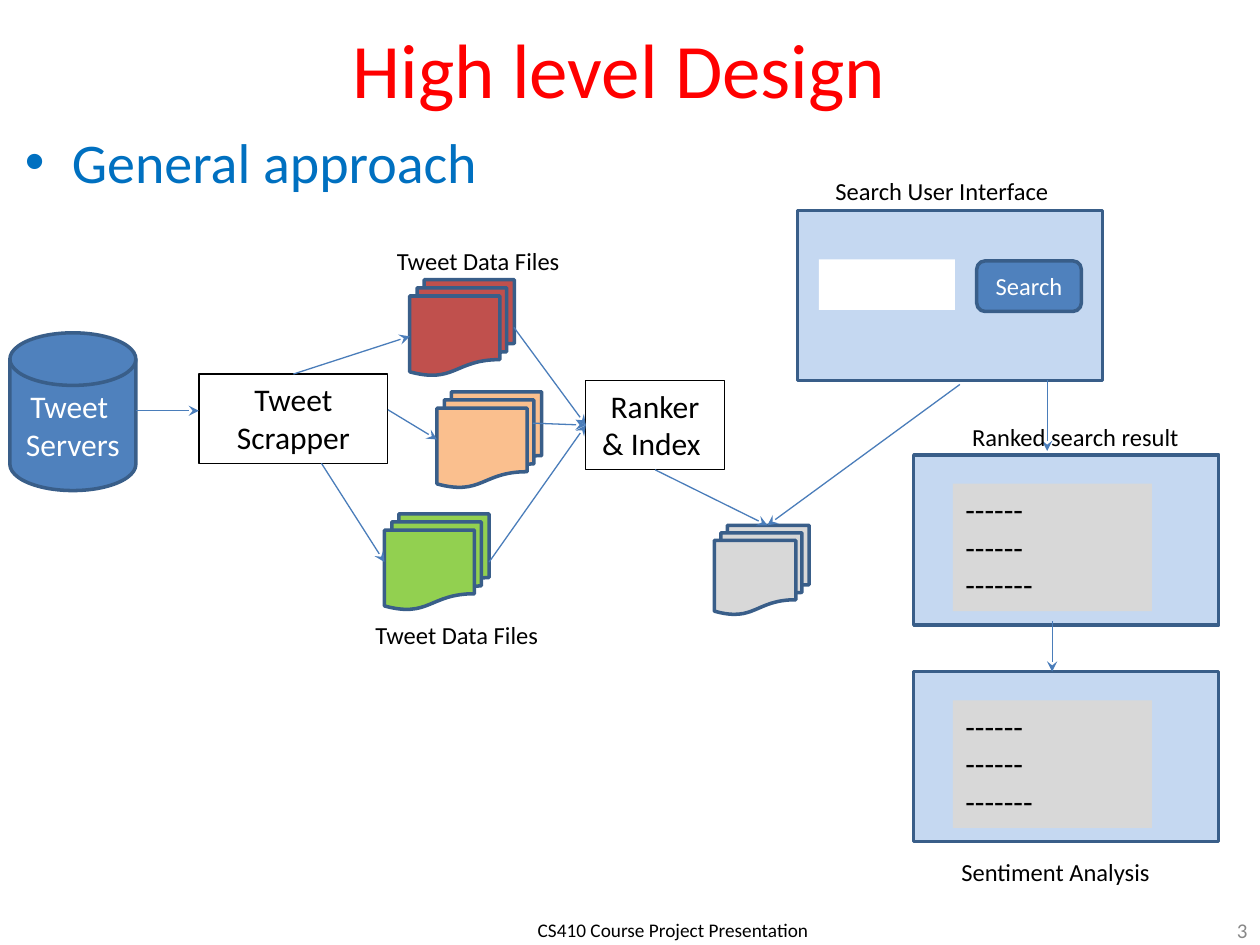
"""Build the High level Design slide: tweet pipeline from servers to sentiment analysis."""
from lxml.etree import SubElement
from pptx import Presentation
from pptx.dml.color import RGBColor
from pptx.enum.shapes import MSO_CONNECTOR as Link, MSO_SHAPE as Kind
from pptx.enum.text import MSO_ANCHOR as Anchor, PP_ALIGN as Align
from pptx.oxml.ns import qn
from pptx.util import Cm, Pt

BLACK, WHITE, BLUE, EDGE = "000000", "FFFFFF", "4F81BD", "395E89"
SKY, GREY, WIRE, HEAD = "C5D8F1", "D8D8D8", "4A7DBA", "0070C0"
TOP, LEFT, BOTTOM = 0, 1, 2
MID, CENTER = Anchor.MIDDLE, Align.CENTER

TEXTS = [
    ("CS410 Course Project Presentation", (10.59, 18.39, 6.22, 0.71), 11, BLACK, Align.LEFT, Anchor.TOP),
    ("High level Design", (0, 0, 24.97, 2.74), 44, "FF0000", CENTER, MID),
    ("3", (19.48, 18.24, 5.92, 1.02), 12, "888888", Align.RIGHT, MID),
]
POINT = ("General approach", (0.25, 2.44, 24.13, 2.34), 32, HEAD, Align.LEFT, Anchor.TOP)
LABELS = [
    ("Tweet Data Files", 7.09, 12.37, 4.24),
    ("Tweet Data Files", 7.52, 4.83, 4.24),
    ("Search User Interface", 16.13, 3.43, 5.72),
    ("Sentiment Analysis", 18.42, 17.15, 5.72),
    ("Ranked search result", 18.82, 8.38, 5.72),
]
STEPS = {
    "scrapper": ("Tweet Scrapper", (4.01, 7.54, 3.81, 1.8)),
    "ranker": ("Ranker & Index ", (11.81, 7.67, 2.79, 1.8)),
}
FILES = [
    ("C0504D", (8.26, 5.64, 2.11, 1.93)),
    ("FABF8E", (8.81, 7.9, 2.11, 1.93)),
    ("92D050", (7.75, 10.36, 2.11, 1.93)),
    (GREY, (14.4, 10.59, 1.91, 1.8)),
]
PANEL = (6.15, 3.43)
SEARCH = (16.08, 4.24)
LISTS = [(18.42, 9.17), (18.42, 13.54)]
ROWS = "------\n------\n-------"
ARROWS = [
    ((2.74, 8.28), (4.01, 8.28), None, None),
    ((5.92, 7.54), (8.26, 6.78), ("scrapper", TOP), None),
    ((6.48, 9.34), (7.75, 11.33), None, None),
    ((7.82, 8.26), (8.81, 8.86), None, None),
    ((10.36, 6.6), (11.81, 8.57), None, ("ranker", LEFT)),
    ((9.86, 11.33), (11.81, 8.57), None, ("ranker", LEFT)),
    ((10.74, 8.53), (11.81, 8.57), None, ("ranker", LEFT)),
    ((13.21, 9.47), (15.47, 10.59), ("ranker", BOTTOM), None),
    ((19.35, 7.75), (15.47, 10.59), None, None),
    ((21.11, 7.67), (21.11, 9.09), None, None),
    ((21.21, 12.52), (21.21, 13.54), None, None),
]


def color(code):
    return RGBColor.from_string(code)


def write(shape, text, size, ink, align=CENTER, anchor=Anchor.TOP):
    frame = shape.text_frame
    frame.word_wrap = True
    frame.vertical_anchor = anchor
    frame.text = text
    for para in frame.paragraphs:
        para.alignment = align
        para.font.size = Pt(size)
        para.font.name = "Calibri"
        para.font.color.rgb = color(ink)
    return shape


def label(slide, text, box, *style):
    return write(slide.shapes.add_textbox(*map(Cm, box)), text, *style)


def draw(slide, kind, box, fill=None, line=None, width=2):
    shape = slide.shapes.add_shape(kind, *map(Cm, box))
    shape.shadow.inherit = False
    if fill:
        shape.fill.solid()
        shape.fill.fore_color.rgb = color(fill)
    else:
        shape.fill.background()
    if line:
        shape.line.color.rgb = color(line)
        shape.line.width = Pt(width)
    else:
        shape.line.fill.background()
    return shape


def bullet(para, ink):
    props = para._p.get_or_add_pPr()
    props.set("marL", str(Cm(0.95)))
    props.set("indent", str(-Cm(0.95)))
    tint = props.makeelement(qn("a:buClr"))
    SubElement(tint, qn("a:srgbClr"), val=ink)
    face = props.makeelement(qn("a:buFont"), typeface="Arial")
    mark = props.makeelement(qn("a:buChar"), char="•")
    for spot, node in enumerate((tint, face, mark)):
        props.insert(spot, node)


def arrow(slide, start, end, tail, tip, steps):
    line = slide.shapes.add_connector(Link.STRAIGHT, *map(Cm, start + end))
    if tail:
        line.begin_connect(steps[tail[0]], tail[1])
    if tip:
        line.end_connect(steps[tip[0]], tip[1])
    line.line.color.rgb = color(WIRE)
    line.line.width = Pt(0.75)
    SubElement(line.line._get_or_add_ln(), qn("a:tailEnd"), type="stealth")
    SubElement(line._element.spPr, qn("a:effectLst"))


def main():
    deck = Presentation()
    deck.slide_width, deck.slide_height = Cm(25.4), Cm(19.05)
    slide = deck.slides.add_slide(deck.slide_layouts[6])

    for item in TEXTS:
        label(slide, *item)
    bullet(label(slide, *POINT).text_frame.paragraphs[0], HEAD)

    steps = {}
    for name, (text, box) in STEPS.items():
        steps[name] = write(draw(slide, Kind.RECTANGLE, box, None, BLACK, 0.75), text, 18, BLACK)
    disk = draw(slide, Kind.FLOWCHART_MAGNETIC_DISK, (0.2, 6.71, 2.54, 3.18), BLUE, EDGE)
    write(disk, "Tweet \nServers", 18, WHITE, CENTER, MID)
    for fill, box in FILES:
        draw(slide, Kind.FLOWCHART_MULTIDOCUMENT, box, fill, EDGE)

    for spot in [SEARCH] + LISTS:
        draw(slide, Kind.RECTANGLE, spot + PANEL, SKY, EDGE)
    draw(slide, Kind.RECTANGLE, (16.51, 5.23, 2.74, 1.02), WHITE)
    button = draw(slide, Kind.ROUNDED_RECTANGLE, (19.69, 5.26, 2.11, 1.02), BLUE, EDGE)
    write(button, "Search", 14, WHITE, CENTER, MID)
    for left, top in LISTS:
        sheet = draw(slide, Kind.RECTANGLE, (left + 0.79, top + 0.58, 4.01, 2.57), GREY)
        write(sheet, ROWS, 18, BLACK, Align.LEFT)

    for item in ARROWS:
        arrow(slide, *item, steps)
    for text, left, top, width in LABELS:
        label(slide, text, (left, top, width, 0.86), 14, BLACK, CENTER)
    deck.save("out.pptx")


if __name__ == "__main__":
    main()
